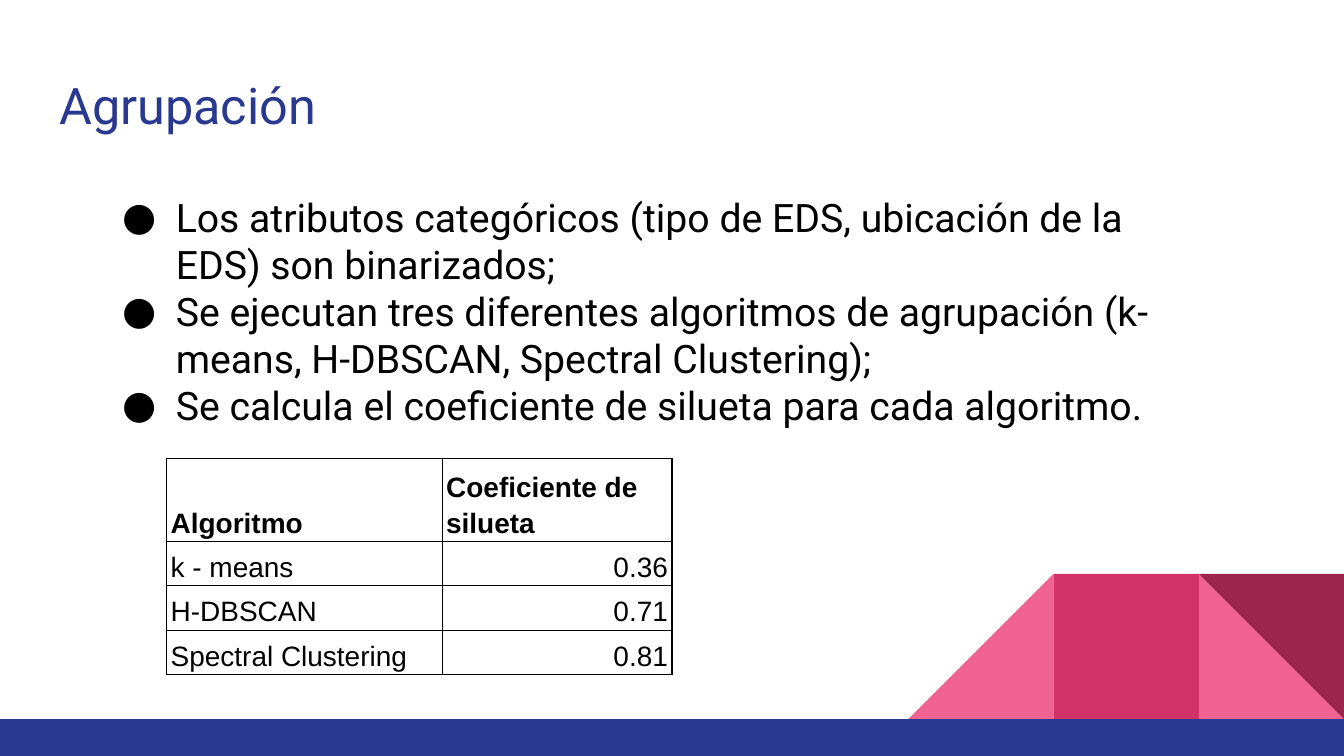
"""Build the slide on clustering algorithms and their silhouette coefficients."""
import pptx
import pptx.dml.color
import pptx.enum.shapes
import pptx.enum.text
import pptx.oxml
import pptx.oxml.ns
import pptx.util
from pptx.util import Inches

RGBColor = pptx.dml.color.RGBColor
Shape = pptx.enum.shapes.MSO_SHAPE
Anchor = pptx.enum.text.MSO_ANCHOR
Align = pptx.enum.text.PP_ALIGN

BLUE = RGBColor(0x2A, 0x39, 0x90)
PINK = RGBColor(0xF0, 0x62, 0x92)
ROSE = RGBColor(0xD2, 0x33, 0x69)
WINE = RGBColor(0x9C, 0x25, 0x4D)
BLACK = RGBColor(0, 0, 0)
NAMESPACE = pptx.oxml.ns.nsdecls("a")


def format_runs(para, font_name, size, color, bold=False):
    for span in para.runs:
        span.font.name = font_name
        span.font.size = pptx.util.Pt(size)
        span.font.color.rgb = color
        span.font.bold = bold


deck = pptx.Presentation()
deck.slide_width = Inches(10)
deck.slide_height = Inches(10 * 9 / 16)
page = deck.slides.add_slide(deck.slide_layouts[5])

TILE = 1.08
BAR_TOP = 5.35
TILE_TOP = BAR_TOP - TILE
RIGHT_TILE = 10 - TILE
decorations = [
    (Shape.RIGHT_TRIANGLE, RIGHT_TILE, TILE_TOP, TILE, TILE, PINK, 0, False),
    (Shape.RIGHT_TRIANGLE, RIGHT_TILE - 2 * TILE, TILE_TOP, TILE, TILE, PINK, 0, True),
    (Shape.RECTANGLE, RIGHT_TILE - TILE, TILE_TOP, TILE, TILE, ROSE, 0, False),
    (Shape.RIGHT_TRIANGLE, RIGHT_TILE, TILE_TOP, TILE, TILE, WINE, 180, False),
    (Shape.RECTANGLE, 0, BAR_TOP, 10, 0.28, BLUE, 0, False),
]
for kind, left, top, width, height, color, rotation, flipped in decorations:
    shape = page.shapes.add_shape(kind, Inches(left), Inches(top), Inches(width), Inches(height))
    shape.shadow.inherit = False
    shape.fill.solid()
    shape.fill.fore_color.rgb = color
    shape.line.fill.background()
    shape.rotation = rotation
    if flipped:
        shape._element.spPr.xfrm.set("flipH", "1")

title = page.shapes.title
title.left, title.top = Inches(0.34), Inches(0.45)
title.width, title.height = Inches(9.32), Inches(0.66)
title.text_frame.text = "Agrupación"
title.text_frame.vertical_anchor = Anchor.MIDDLE
title.text_frame.paragraphs[0].alignment = Align.LEFT
format_runs(title.text_frame.paragraphs[0], "Roboto", 27, BLUE)

box = page.shapes.add_textbox(Inches(0.71), Inches(1.34), Inches(8.3), Inches(1.97))
box.text_frame.word_wrap = True
box.text_frame.text = "\n".join([
    "Los atributos categóricos (tipo de EDS, ubicación de la EDS) son binarizados;",
    "Se ejecutan tres diferentes algoritmos de agrupación (k-means, H-DBSCAN, Spectral Clustering);",
    "Se calcula el coeficiente de silueta para cada algoritmo.",
])
for frame in (title.text_frame, box.text_frame):
    frame.margin_left = frame.margin_right = Inches(0.1)
    frame.margin_top = frame.margin_bottom = Inches(0.1)
for para in box.text_frame.paragraphs:
    format_runs(para, "Roboto", 21, BLACK)
    properties = para._p.get_or_add_pPr()
    properties.set("marL", str(Inches(0.5)))
    properties.set("indent", str(Inches(-0.4)))
    for bullet_xml in (
        f'<a:buClr {NAMESPACE}><a:srgbClr val="{BLACK}"/></a:buClr>',
        f'<a:buFont {NAMESPACE} typeface="Roboto"/>',
        f'<a:buChar {NAMESPACE} char="●"/>',
    ):
        properties.append(pptx.oxml.parse_xml(bullet_xml))

scores = [
    ("Algoritmo", "Coeficiente de silueta"),
    ("k - means", "0.36"),
    ("H-DBSCAN", "0.71"),
    ("Spectral Clustering", "0.81"),
]
table = page.shapes.add_table(
    len(scores), 2, Inches(1.24), Inches(3.41), Inches(3.76), Inches(1.61)).table
table.columns[0].width = Inches(2.05)
table.columns[1].width = Inches(1.71)
for row_index, values in enumerate(scores):
    is_header = row_index == 0
    table.rows[row_index].height = Inches(0.62 if is_header else 0.33)
    for column_index, value in enumerate(values):
        cell = table.cell(row_index, column_index)
        cell.text_frame.text = value
        cell.vertical_anchor = Anchor.BOTTOM
        cell.margin_left = cell.margin_right = Inches(0.03)
        cell.margin_top = cell.margin_bottom = Inches(0.02)
        para = cell.text_frame.paragraphs[0]
        para.line_spacing = 1.15
        para.alignment = Align.RIGHT if column_index and not is_header else Align.LEFT
        format_runs(para, "Arial", 15, BLACK, bold=is_header)
        cell_properties = cell._tc.get_or_add_tcPr()
        for side in ("lnL", "lnR", "lnT", "lnB"):
            cell_properties.append(pptx.oxml.parse_xml(
                f'<a:{side} {NAMESPACE} w="{pptx.util.Pt(0.75)}"><a:solidFill>'
                f'<a:srgbClr val="{BLACK}"/></a:solidFill></a:{side}>'))
        cell.fill.background()

deck.save("out.pptx")
